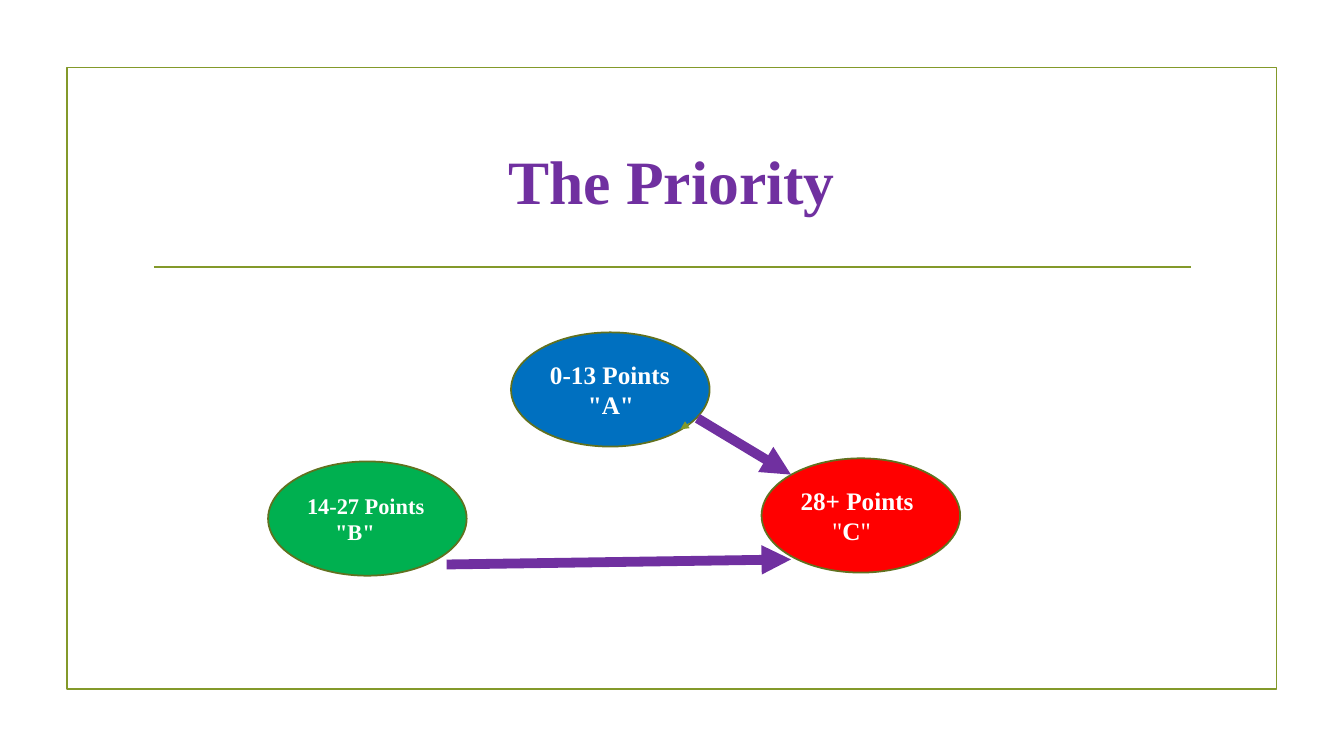
import dataclasses
import typing

import lxml.etree
import pptx
import pptx.dml.color
import pptx.enum.shapes
import pptx.enum.text
import pptx.oxml.ns
import pptx.util

Pt = pptx.util.Pt
FONT = "Times New Roman"
OLIVE = "83992A"
DARK_OLIVE = "61711F"
PURPLE = "7030A0"
WHITE = "FFFFFF"
OVAL_WIDTH, OVAL_HEIGHT = 141.84, 81.6


@dataclasses.dataclass
class Group:
    left: float
    top: float
    fill: str
    points: str
    letter: str
    size: float
    indent: float
    bold_quotes: bool = True


@dataclasses.dataclass
class Line:
    start: tuple[float, float]
    end: tuple[float, float]
    color: str
    width: float
    arrow: bool = True


GROUPS = [
    Group(365.04, 237.4, "0070C0", "0-13 Points", "A", 18, 27),
    Group(191.5, 329.6, "00B050", "14-27 Points", "B", 16, 20),
    Group(544, 327.4, "FF0000", "28+ Points", "C", 18, 22.5, False),
]
LINES = [
    Line((110, 190.8), (850.5, 190.8), OLIVE, 1.25, False),
    Line((498.2, 298.8), (565, 339), PURPLE, 7),
    Line((319, 403.2), (565, 399.6), PURPLE, 7),
    Line((492.5, 302.4), (486, 306.7), OLIVE, 0.75),
]


def rgb(value: str) -> pptx.dml.color.RGBColor:
    return pptx.dml.color.RGBColor.from_string(value)


def add_text(para: typing.Any, text: str, *, size: float, color: str = WHITE, bold: bool = True) -> None:
    span = para.add_run()
    span.text = text
    span.font.name = FONT
    span.font.size = Pt(size)
    span.font.bold = bold
    span.font.color.rgb = rgb(color)


def add_title(page: typing.Any, text: str) -> None:
    box = page.shapes.title
    box.left, box.top, box.width, box.height = Pt(102), Pt(77), Pt(756), Pt(103)
    box.text_frame.vertical_anchor = pptx.enum.text.MSO_ANCHOR.MIDDLE
    para = box.text_frame.paragraphs[0]
    para.alignment = pptx.enum.text.PP_ALIGN.CENTER
    add_text(para, text, size=44, color=PURPLE)


def add_outline(page: typing.Any, kind: typing.Any, left: float, top: float,
                width: float, height: float, color: str) -> typing.Any:
    shape = page.shapes.add_shape(kind, Pt(left), Pt(top), Pt(width), Pt(height))
    shape.shadow.inherit = False
    shape.fill.background()
    shape.line.color.rgb = rgb(color)
    shape.line.width = Pt(1.25)
    return shape


def add_group(page: typing.Any, group: Group) -> None:
    oval = add_outline(page, pptx.enum.shapes.MSO_SHAPE.OVAL, group.left, group.top,
                       OVAL_WIDTH, OVAL_HEIGHT, DARK_OLIVE)
    oval.fill.solid()
    oval.fill.fore_color.rgb = rgb(group.fill)
    frame = oval.text_frame
    frame.word_wrap = True
    frame.margin_right = Pt(0)
    frame.vertical_anchor = pptx.enum.text.MSO_ANCHOR.MIDDLE
    heading, label = frame.paragraphs[0], frame.add_paragraph()
    for para in (heading, label):
        para.alignment = pptx.enum.text.PP_ALIGN.LEFT
    label._p.get_or_add_pPr().set("marL", str(Pt(group.indent)))
    add_text(heading, group.points, size=group.size)
    if group.bold_quotes:
        add_text(label, f'"{group.letter}"', size=group.size)
    else:
        for text in ('"', group.letter, '"'):
            add_text(label, text, size=group.size, bold=text != '"')


def add_line(page: typing.Any, line: Line) -> None:
    connector = page.shapes.add_connector(
        pptx.enum.shapes.MSO_CONNECTOR.STRAIGHT, *map(Pt, line.start + line.end))
    connector.line.color.rgb = rgb(line.color)
    connector.line.width = Pt(line.width)
    if line.arrow:
        outline = connector.line._get_or_add_ln()
        lxml.etree.SubElement(outline, pptx.oxml.ns.qn("a:tailEnd"), type="triangle")
    lxml.etree.SubElement(connector._element.spPr, pptx.oxml.ns.qn("a:effectLst"))


def main() -> None:
    deck = pptx.Presentation()
    deck.slide_width, deck.slide_height = Pt(960), Pt(540)
    page = deck.slides.add_slide(deck.slide_layouts[5])
    add_outline(page, pptx.enum.shapes.MSO_SHAPE.RECTANGLE, 47.8, 48.2, 864, 444.2, OLIVE)
    add_title(page, "The Priority")
    for group in GROUPS:
        add_group(page, group)
    for line in LINES:
        add_line(page, line)
    deck.save("out.pptx")


if __name__ == "__main__":
    main()
